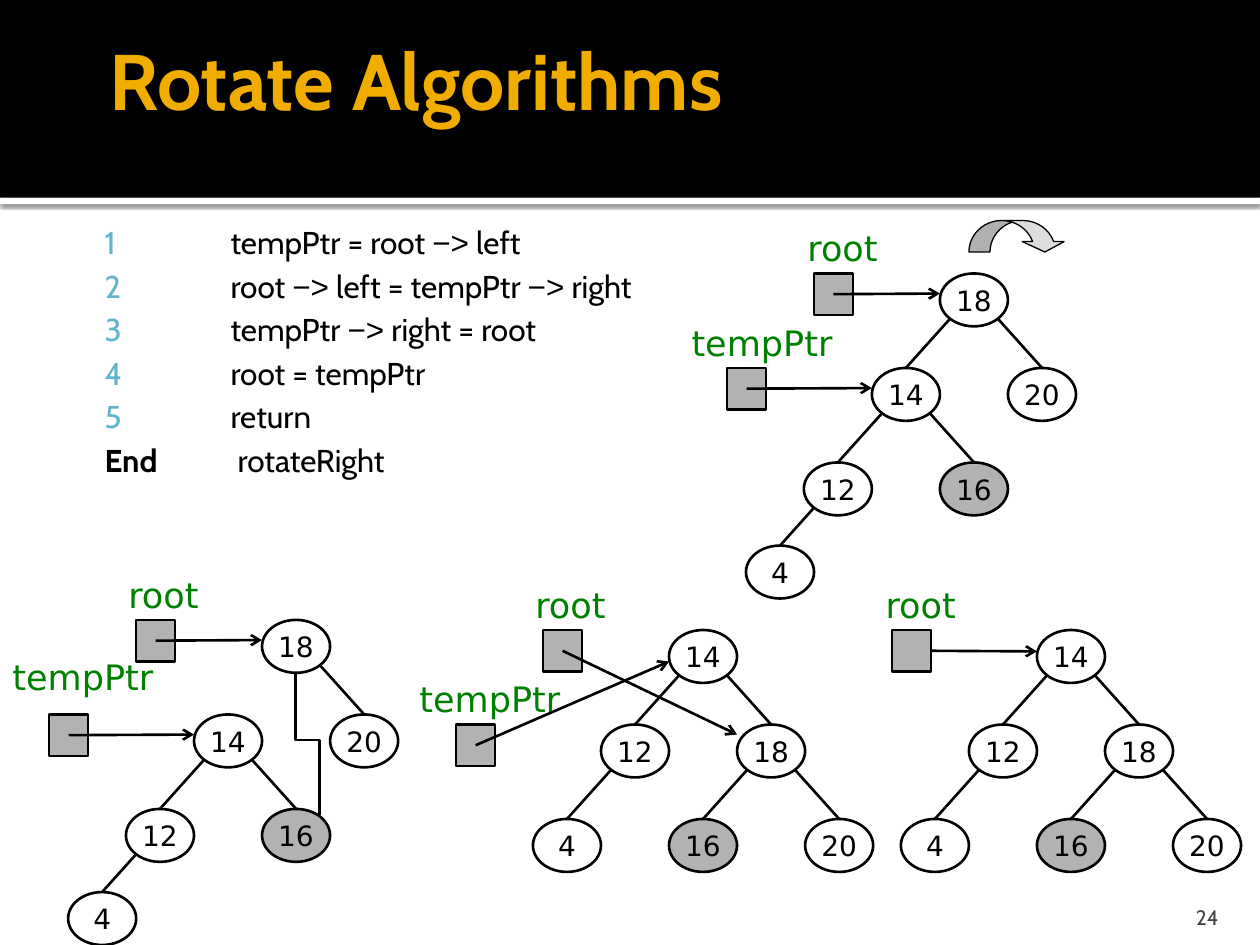
from collections import namedtuple
from dataclasses import dataclass
from lxml import etree
from pptx import Presentation
from pptx.dml.color import RGBColor
from pptx.enum.shapes import MSO_CONNECTOR, MSO_SHAPE
from pptx.enum.text import MSO_ANCHOR, PP_ALIGN
from pptx.oxml.ns import qn
from pptx.util import Inches, Pt

RECT, OVAL, TURN = MSO_SHAPE.RECTANGLE, MSO_SHAPE.OVAL, MSO_SHAPE.CURVED_DOWN_ARROW
STRAIGHT, ELBOW = MSO_CONNECTOR.STRAIGHT, MSO_CONNECTOR.ELBOW
TOP, MIDDLE, BOTTOM = MSO_ANCHOR.TOP, MSO_ANCHOR.MIDDLE, MSO_ANCHOR.BOTTOM
LEFT, CENTER, RIGHT = PP_ALIGN.LEFT, PP_ALIGN.CENTER, PP_ALIGN.RIGHT


@dataclass(frozen=True)
class Theme:
    body_font: str = "Cabin"
    symbol_font: str = "Arial"
    diagram_font: str = "DejaVu Sans"
    black: str = "000000"
    white: str = "FFFFFF"
    title: str = "F0AD00"
    number: str = "60B5CC"
    pointer: str = "008000"
    shaded: str = "B2B2B2"
    turn: str = "DDDDDD"
    page: str = "454545"
    title_size: int = 45
    code_size: int = 18
    label_size: int = 20
    node_size: int = 16
    page_size: int = 12
    stroke: float = 1.5
    thin_stroke: float = 0.75


THEME = Theme()
NODE_W, NODE_H, BOX_W, BOX_H = 0.54, 0.42, 0.31, 0.33
COLUMN, ROW = 0.54, 0.75

Tree = namedtuple("Tree", "root nodes edges pointers")
Pointer = namedtuple("Pointer", "name box label width target drop centered", defaults=(0.16, True))

BEFORE = {"18": (0, 0), "14": (-1, 1), "12": (-2, 2), "16": (0, 2), "20": (1, 1), "4": (-2.85, 2.88)}
AFTER = {"14": (0, 0), "18": (1, 1), "12": (-1, 1), "4": (-2, 2), "16": (0, 2), "20": (2, 2)}
MOVED_EDGES = [("14", "12"), ("14", "16"), ("18", "20"), ("12", "4")]
AFTER_EDGES = [("14", "18"), ("14", "12"), ("12", "4"), ("18", "16"), ("18", "20")]

TREES = [
    Tree((7.46, 2.17), BEFORE, [("18", "14")] + MOVED_EDGES, [
        Pointer("root", (6.46, 2.17), (6.31, 1.75), 0.77, "18"),
        Pointer("tempPtr", (5.77, 2.92), (5.39, 2.5), 1.36, "14")]),
    Tree((2.08, 4.92), BEFORE, MOVED_EDGES, [
        Pointer("root", (1.08, 4.92), (0.92, 4.5), 0.91, "18"),
        Pointer("tempPtr", (0.39, 5.67), (0, 5.15), 1.5, "14")]),
    Tree((5.31, 5), AFTER, AFTER_EDGES, [
        Pointer("root", (4.31, 5), (4.15, 4.58), 0.85, "18", 0.08),
        Pointer("tempPtr", (3.62, 5.75), (3.23, 5.33), 1.35, "14", 0.25)]),
    Tree((8.23, 5), AFTER, AFTER_EDGES, [
        Pointer("root", (7.08, 5), (6.93, 4.58), 0.82, "14", 0.17, False)]),
]

CODE = [
    ("1", "tempPtr = root −> left"),
    ("2", "root −> left = tempPtr −> right"),
    ("3", "tempPtr −> right = root"),
    ("4", "root = tempPtr"),
    ("5", "return"),
    ("End", " rotateRight"),
]


def rgb(color):
    return RGBColor.from_string(color)


def add_run(paragraph, text, size, color, font=THEME.body_font, bold=False):
    run = paragraph.add_run()
    run.text = text
    run.font.size, run.font.name, run.font.bold = Pt(size), font, bold
    run.font.color.rgb = rgb(color)


def add_block(slide, kind, place, fill=None, stroke=None):
    block = slide.shapes.add_shape(kind, *map(Inches, place))
    block.shadow.inherit = False
    if fill:
        block.fill.solid()
        block.fill.fore_color.rgb = rgb(fill)
    else:
        block.fill.background()
    if stroke:
        block.line.color.rgb = rgb(THEME.black)
        block.line.width = Pt(stroke)
    else:
        block.line.fill.background()
    return block


def add_text_area(slide, place, insets=(0.1, 0.05, 0.1, 0.05), anchor=TOP, align=LEFT):
    frame = slide.shapes.add_textbox(*map(Inches, place)).text_frame
    frame.word_wrap = True
    frame.vertical_anchor = anchor
    frame.margin_left, frame.margin_top, frame.margin_right, frame.margin_bottom = map(Inches, insets)
    frame.paragraphs[0].alignment = align
    return frame


def add_line(slide, start, end, kind=STRAIGHT, arrow=False):
    line = slide.shapes.add_connector(kind, *map(Inches, (*start, *end)))
    line.line.color.rgb = rgb(THEME.black)
    line.line.width = Pt(THEME.stroke)
    if arrow:
        etree.SubElement(line.line._get_or_add_ln(), qn("a:tailEnd"), type="arrow")
    etree.SubElement(line._element.spPr, qn("a:effectLst"))
    return line


def add_band(slide):
    edge = add_block(slide, RECT, (0, 1.57, 10, 0.05), THEME.white)
    effects = edge._element.spPr.find(qn("a:effectLst"))
    shadow = etree.SubElement(effects, qn("a:outerShdw"), blurRad=str(Pt(2.5)),
                              dist=str(Pt(0.8)), dir="5400000", algn="t", rotWithShape="0")
    tint = etree.SubElement(shadow, qn("a:srgbClr"), val=THEME.black)
    etree.SubElement(tint, qn("a:alpha"), val="60000")
    add_block(slide, RECT, (0, 0, 10, 1.57), THEME.black)


def add_code(slide):
    frame = add_text_area(slide, (0.77, 1.67, 8.5, 4.5), (0.06, 0.1, 0.1, 0.05))
    for index, (marker, statement) in enumerate(CODE):
        paragraph = frame.paragraphs[0] if index == 0 else frame.add_paragraph()
        tabs = etree.SubElement(paragraph._p.get_or_add_pPr(), qn("a:tabLst"))
        etree.SubElement(tabs, qn("a:tab"), pos=str(Inches(1)), algn="l")
        paragraph.space_after = Pt(3.3)
        numbered = marker.isdigit()
        add_run(paragraph, marker, THEME.code_size,
                THEME.number if numbered else THEME.black, bold=not numbered)
        for part_index, part in enumerate(("\t" + statement).split("−>")):
            if part_index:
                add_run(paragraph, "−>", THEME.code_size, THEME.black, THEME.symbol_font)
            add_run(paragraph, part, THEME.code_size, THEME.black)


def add_node(slide, value, left, top):
    node = add_block(slide, OVAL, (left, top, NODE_W, NODE_H),
                     THEME.shaded if value == "16" else None, THEME.stroke)
    frame = node.text_frame
    frame.word_wrap = False
    frame.vertical_anchor = MIDDLE
    frame.paragraphs[0].alignment = CENTER
    add_run(frame.paragraphs[0], value, THEME.node_size, THEME.black, THEME.diagram_font)
    return node


def add_pointer(slide, pointer, target):
    left, top = pointer.box
    box = add_block(slide, RECT, (left, top, BOX_W, BOX_H), THEME.shaded, THEME.stroke)
    label = add_text_area(slide, (*pointer.label, pointer.width, 0.44))
    add_run(label.paragraphs[0], pointer.name, THEME.label_size, THEME.pointer, THEME.diagram_font)
    arrow = add_line(slide, (left + BOX_W / 2, top + BOX_H / 2),
                     (target[0], target[1] + pointer.drop), arrow=True)
    if not pointer.centered:
        arrow.begin_connect(box, 3)


def add_tree(slide, tree):
    left, top = tree.root
    places = {value: (left + column * COLUMN, top + row * ROW)
              for value, (column, row) in tree.nodes.items()}
    nodes = {value: add_node(slide, value, *place) for value, place in places.items()}
    for parent, child in tree.edges:
        (px, py), (cx, cy) = places[parent], places[child]
        start = (px + (0.08 if cx < px else NODE_W - 0.08), py + 0.36)
        add_line(slide, start, (cx + NODE_W / 2, cy)).end_connect(nodes[child], 0)
    for pointer in tree.pointers:
        add_pointer(slide, pointer, places[pointer.target])


def add_relinked_edge(slide):
    edge = add_line(slide, (3, 5.81), (1.88, 6), ELBOW)
    shape_properties = edge._element.spPr
    shape_properties.find(qn("a:xfrm")).set("rot", "16200000")
    guides = shape_properties.find(qn("a:prstGeom")).find(qn("a:avLst"))
    etree.SubElement(guides, qn("a:gd"), name="adj1", fmla="val 47300")


def main():
    deck = Presentation()
    deck.slide_width, deck.slide_height = Inches(10), Inches(7.5)
    slide = deck.slides.add_slide(deck.slide_layouts[6])
    add_band(slide)
    page = add_text_area(slide, (8.97, 7.08, 0.8, 0.3), (0.1, 0.05, 0.1, 0), BOTTOM, RIGHT)
    add_run(page.paragraphs[0], "24", THEME.page_size, THEME.page)
    title = add_text_area(slide, (0.77, 0, 8.5, 1.25), (0.1, 0.05, 0.05, 0.05), MIDDLE)
    add_run(title.paragraphs[0], "Rotate Algorithms", THEME.title_size, THEME.title, bold=True)
    add_code(slide)
    turn = add_block(slide, TURN, (7.69, 1.75, 0.77, 0.25), THEME.turn, THEME.thin_stroke)
    for index, amount in enumerate((0.67, 1.33, 0.33)):
        turn.adjustments[index] = amount
    for tree in TREES:
        add_tree(slide, tree)
    add_relinked_edge(slide)
    deck.save("out.pptx")


if __name__ == "__main__":
    main()
